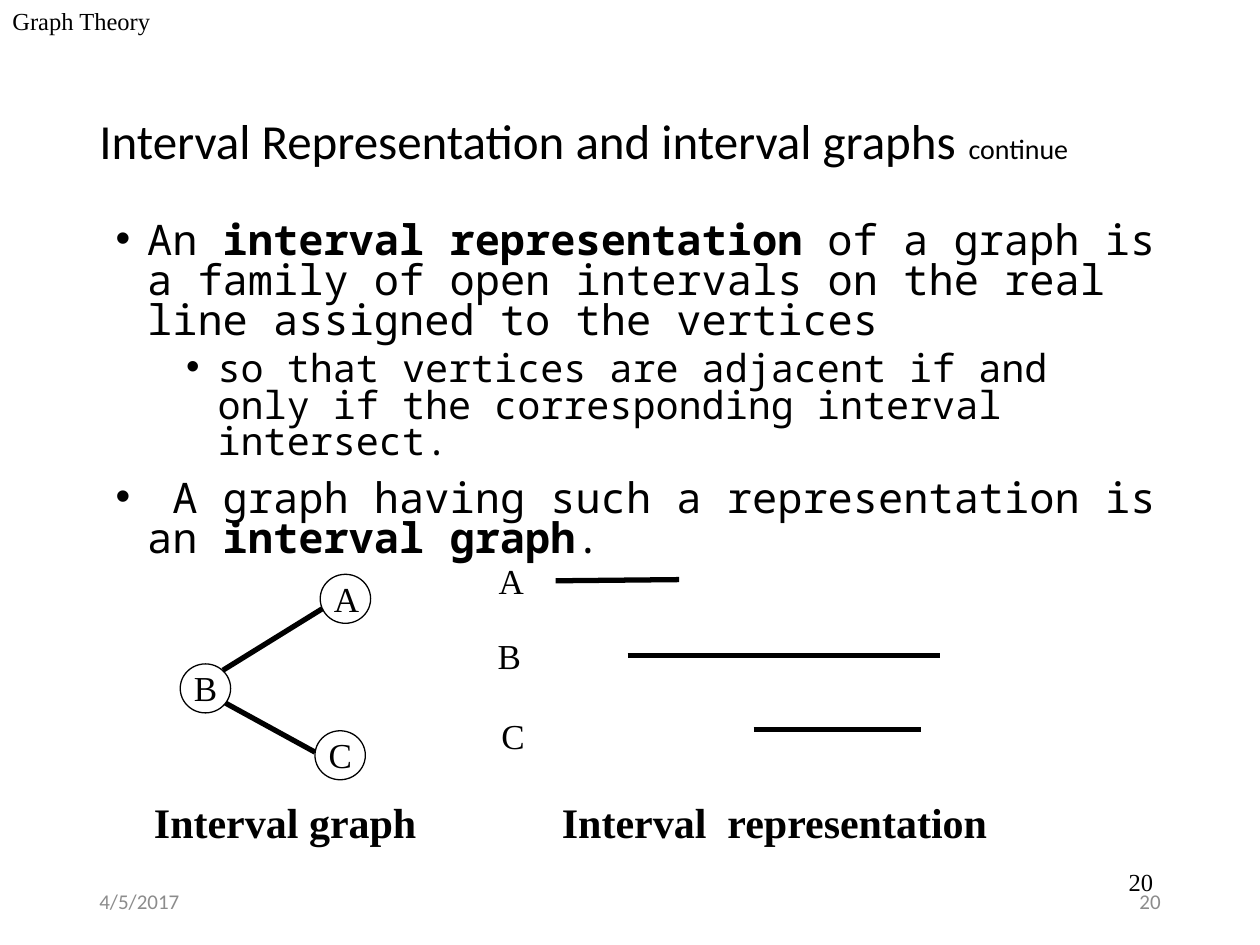
from lxml import etree
from pptx import Presentation
from pptx.dml.color import RGBColor
from pptx.enum.shapes import MSO_CONNECTOR, MSO_SHAPE
from pptx.enum.text import MSO_ANCHOR, MSO_AUTO_SIZE, PP_ALIGN
from pptx.oxml.ns import qn
from pptx.util import Pt

BLACK = RGBColor(0x00, 0x00, 0x00)
GRAY = RGBColor(0x8C, 0x8C, 0x8C)
SERIF, SANS, MONO = "Times New Roman", "Calibri", "Noto Sans Mono"
LEFT, RIGHT = PP_ALIGN.LEFT, PP_ALIGN.RIGHT
TOP, MIDDLE = MSO_ANCHOR.TOP, MSO_ANCHOR.MIDDLE
GROW = MSO_AUTO_SIZE.SHAPE_TO_FIT_TEXT
OVAL, STRAIGHT = MSO_SHAPE.OVAL, MSO_CONNECTOR.STRAIGHT

NODES = [("A", 183, 328.2), ("B", 103, 379.4), ("C", 180, 417.6)]
EDGES = [(127.4, 383, 184.3, 347.8), (128.9, 401.8, 180, 429.8)]
INTERVALS = [
    ("A", 277.9, 316.1, (317.5, 331.9, 388.1, 331.2)),
    ("B", 277.2, 359.3, (358.6, 374.4, 537.1, 374.4)),
    ("C", 279.4, 404.6, (430.6, 416.9, 526.3, 416.9)),
]
BULLETS = [
    (0, 24, [("An ", False), ("interval representation", True),
             (" of a graph is a family of open intervals on the real line "
              "assigned to the vertices", False)]),
    (1, 22, [("so that vertices are adjacent if and only if the "
              "corresponding interval intersect.", False)]),
    (0, 24, [(" A graph having such a representation is an ", False),
             ("interval graph", True), (".", False)]),
]
LEVEL_INDENT = [18, 58.3]
LEVEL_SPACE = [10, 5]


def set_font(font, name, size, color=BLACK, bold=False):
    font.name = name
    font.size = Pt(size)
    font.color.rgb = color
    font.bold = bold


def add_frame(slide, left, top, width, height, anchor=TOP):
    box = slide.shapes.add_textbox(Pt(left), Pt(top), Pt(width), Pt(height))
    frame = box.text_frame
    frame.word_wrap = True
    frame.vertical_anchor = anchor
    return frame


def add_text(slide, text, place, name, size, color=BLACK, bold=False,
             align=LEFT, anchor=TOP):
    frame = add_frame(slide, *place, anchor)
    paragraph = frame.paragraphs[0]
    paragraph.text = text
    paragraph.alignment = align
    set_font(paragraph.font, name, size, color, bold)
    return frame


def add_label(slide, text, left, top, width=27.4, height=31, size=20, bold=False):
    frame = add_text(slide, text, (left, top, width, height), SERIF, size, bold=bold)
    frame.word_wrap = False
    frame.auto_size = GROW


def add_title(slide):
    title = add_frame(slide, 49.7, 28.8, 620.6, 104.4, MIDDLE).paragraphs[0]
    title.line_spacing = 0.9
    parts = [("Interval Representation and interval graphs", 28), (" ", 32),
             ("continue", 16)]
    for text, size in parts:
        run = title.add_run()
        run.text = text
        set_font(run.font, SANS, size)


def add_bullets(slide):
    frame = add_frame(slide, 59, 123.8, 612, 172.8)
    for index, (level, size, parts) in enumerate(BULLETS):
        paragraph = frame.add_paragraph() if index else frame.paragraphs[0]
        paragraph.level = level
        paragraph.line_spacing = 0.8
        paragraph.space_before = Pt(LEVEL_SPACE[level] if index else 0)
        properties = paragraph._p.get_or_add_pPr()
        properties.set("marL", str(Pt(LEVEL_INDENT[level])))
        properties.set("indent", str(Pt(-18)))
        etree.SubElement(properties, qn("a:buFont"), typeface="Arial")
        etree.SubElement(properties, qn("a:buChar"), char="•")
        set_font(paragraph.font, MONO, size)
        for text, bold in parts:
            run = paragraph.add_run()
            run.text = text
            run.font.bold = bold


def add_line(slide, *ends):
    line = slide.shapes.add_connector(STRAIGHT, *map(Pt, ends))
    line.line.color.rgb = BLACK
    line.line.width = Pt(3)
    etree.SubElement(line._element.spPr, qn("a:effectLst"))


def add_node(slide, name, left, top):
    node = slide.shapes.add_shape(OVAL, Pt(left), Pt(top), Pt(28.8), Pt(28))
    node.shadow.inherit = False
    node.fill.background()
    node.line.color.rgb = BLACK
    node.line.width = Pt(0.75)
    add_label(slide, name, left + 0.7, top - 2)


def main():
    presentation = Presentation()
    presentation.slide_width = Pt(720)
    presentation.slide_height = Pt(540)
    slide = presentation.slides.add_slide(presentation.slide_layouts[6])

    add_text(slide, "Graph Theory", (0, 0, 150, 36), SERIF, 14)
    add_text(slide, "20", (516, 492, 150, 36), SERIF, 14, align=RIGHT)
    add_title(slide)
    add_bullets(slide)

    for node in NODES:
        add_node(slide, *node)
    for edge in EDGES:
        add_line(slide, *edge)
    for name, left, top, ends in INTERVALS:
        add_label(slide, name, left, top)
        add_line(slide, *ends)

    add_label(slide, "Interval graph", 80.9, 451.4, 175.7, 36, 24, True)
    add_label(slide, "Interval  representation", 314, 451.4, 260.6, 36, 24, True)
    add_text(slide, "4/5/2017", (49.7, 500.4, 162, 28.8), SANS, 12, GRAY,
             anchor=MIDDLE)
    add_text(slide, "20", (508.3, 500.4, 162, 28.8), SANS, 12, GRAY,
             align=RIGHT, anchor=MIDDLE)
    presentation.save("out.pptx")


if __name__ == "__main__":
    main()
